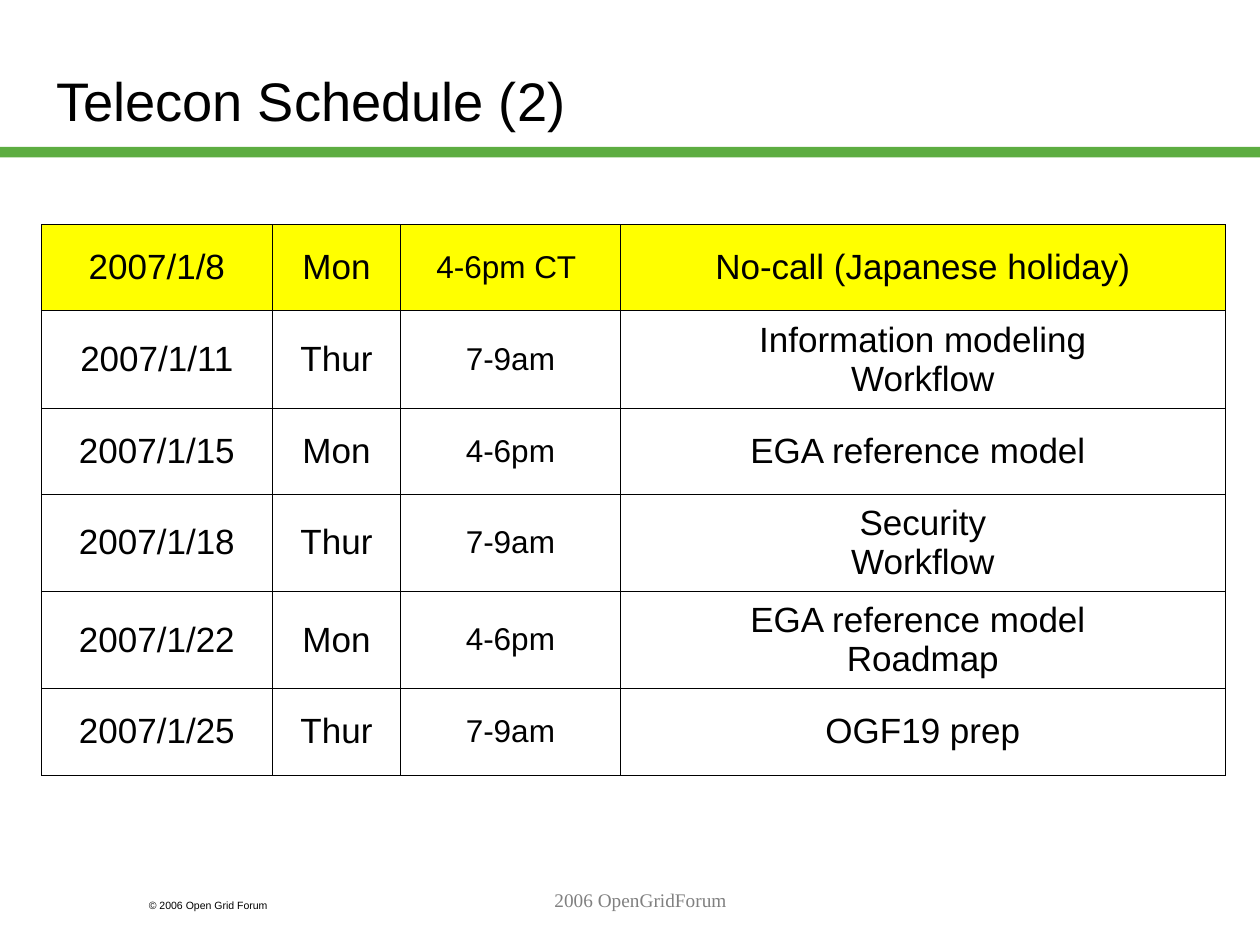
import pptx
import pptx.dml.color
import pptx.enum.shapes
import pptx.enum.text
import pptx.oxml
import pptx.oxml.ns
import pptx.util
from pptx.dml.color import RGBColor
from pptx.util import Pt

GREEN = RGBColor(0x5D, 0xAD, 0x41)
YELLOW = RGBColor(0xFF, 0xFF, 0x00)
BLACK = RGBColor(0, 0, 0)
GRAY = RGBColor(0x80, 0x80, 0x80)
ALIGN = pptx.enum.text.PP_ALIGN
ANCHOR = pptx.enum.text.MSO_ANCHOR

COL_WIDTHS = [132, 73.2, 125.6, 345.8]
ROW_HEIGHTS = {1: 49.4, 2: 55.5}  # by number of topic lines
TIME_COL = 2
SCHEDULE = [
    ("2007/1/8", "Mon", "4-6pm CT ", "No-call (Japanese holiday)"),
    ("2007/1/11", "Thur", "7-9am", "Information modeling\nWorkflow"),
    ("2007/1/15", "Mon", "4-6pm", "EGA reference model "),
    ("2007/1/18", "Thur", "7-9am", "Security\nWorkflow"),
    ("2007/1/22", "Mon", "4-6pm", "EGA reference model \nRoadmap"),
    ("2007/1/25", "Thur", "7-9am", "OGF19 prep"),
]


def style(p, size, color=BLACK, name="Arial", align=ALIGN.LEFT):
    p.alignment = align
    p.font.size = Pt(size)
    p.font.name = name
    p.font.color.rgb = color


def add_text(s, box, text, size, anchor=ANCHOR.TOP, **look):
    tf = s.shapes.add_textbox(*map(Pt, box)).text_frame
    tf.word_wrap = True
    tf.vertical_anchor = anchor
    tf.text = text
    style(tf.paragraphs[0], size, **look)


def add_borders(cell, width=0.45):
    tcPr = cell._tc.get_or_add_tcPr()
    for i, side in enumerate(("lnL", "lnR", "lnT", "lnB")):
        # Borders come before the fill in the cell properties
        tcPr.insert(i, pptx.oxml.parse_xml(
            f'<a:{side} {pptx.oxml.ns.nsdecls("a")} w="{int(Pt(width))}">'
            f'<a:solidFill><a:srgbClr val="{BLACK}"/></a:solidFill></a:{side}>'))


def add_header(s, left, top, width, height):
    # Green rule across the slide
    sp = s.shapes.add_shape(pptx.enum.shapes.MSO_SHAPE.RECTANGLE,
                            Pt(left), Pt(top + 84), Pt(width), Pt(6))
    sp.shadow.inherit = False
    sp.fill.solid()
    sp.fill.fore_color.rgb = GREEN
    sp.line.fill.background()
    # Title
    add_text(s, (left + 25, top + 12, width - 79, height - 12),
             "Telecon Schedule (2)", 31, ANCHOR.MIDDLE)


def add_schedule(s, left, top, width, height):
    frame = s.shapes.add_table(len(SCHEDULE), len(COL_WIDTHS),
                               Pt(left), Pt(top), Pt(width), Pt(height))
    table = frame.table
    table.first_row = table.horz_banding = False
    for col, w in zip(table.columns, COL_WIDTHS):
        col.width = Pt(w)
    for r, entry in enumerate(SCHEDULE):
        table.rows[r].height = Pt(ROW_HEIGHTS[len(entry[-1].split("\n"))])
        for c, text in enumerate(entry):
            cell = table.cell(r, c)
            cell.text = text
            cell.vertical_anchor = ANCHOR.MIDDLE
            for p in cell.text_frame.paragraphs:
                style(p, 18 if c == TIME_COL else 20, align=ALIGN.CENTER)
            # The cancelled call is highlighted
            if r == 0:
                cell.fill.solid()
                cell.fill.fore_color.rgb = YELLOW
            else:
                cell.fill.background()
            add_borders(cell)


def add_footer(s, left, top, width, height):
    add_text(s, (left + 78, top + 6, 108, 14.4), "© 2006 Open Grid Forum", 6)
    add_text(s, (left + 156, top, width - 300, height), "2006 OpenGridForum", 11,
             color=GRAY, name="Times New Roman", align=ALIGN.CENTER)


def main():
    prs = pptx.Presentation()
    prs.slide_width, prs.slide_height = Pt(720), Pt(540)
    s = prs.slides.add_slide(prs.slide_layouts[6])
    add_header(s, 0, 0, 720, 102)
    add_schedule(s, 23.7, 128.2, sum(COL_WIDTHS), 314.7)
    add_footer(s, 0, 504, 720, 36)
    prs.save("out.pptx")


if __name__ == "__main__":
    main()
